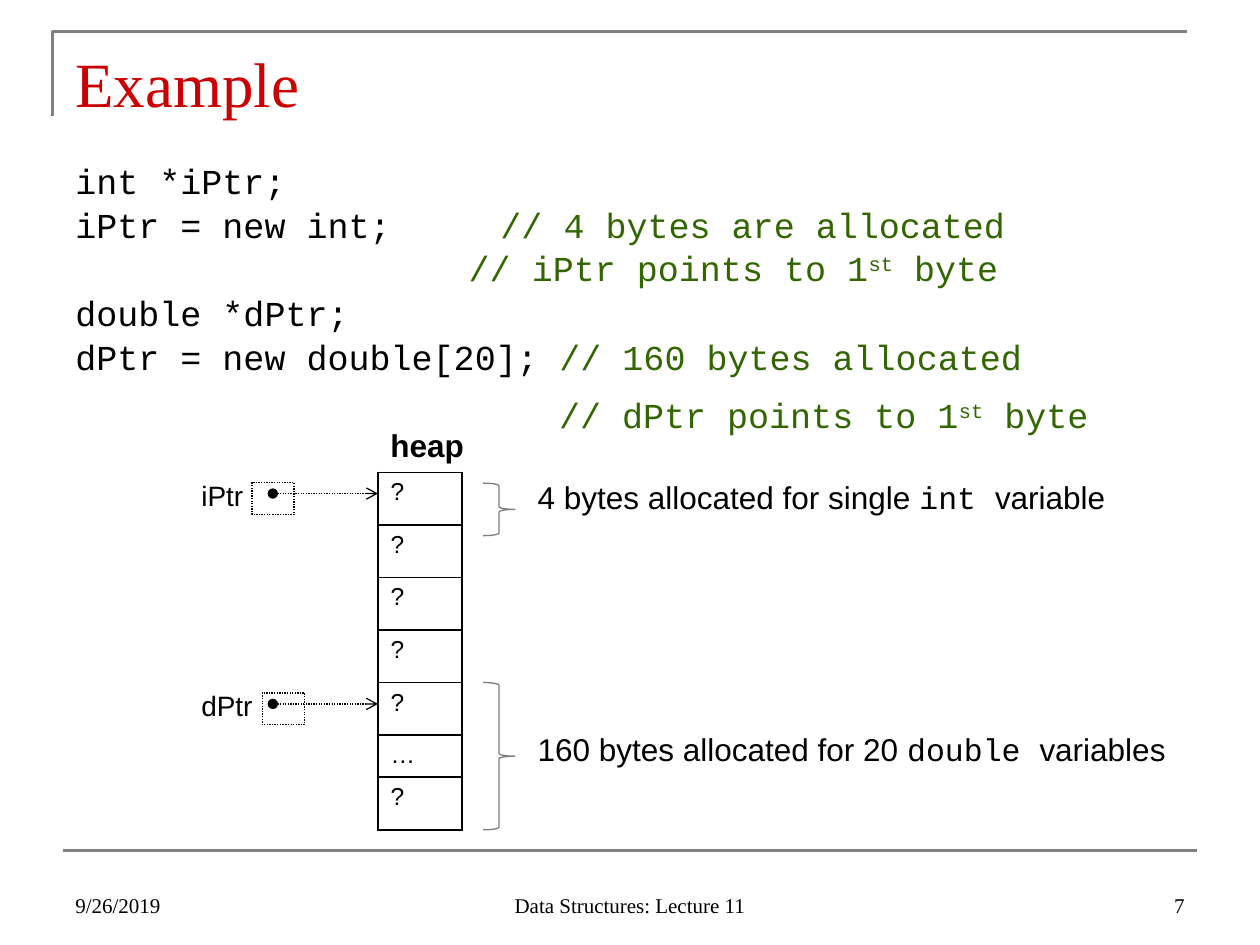
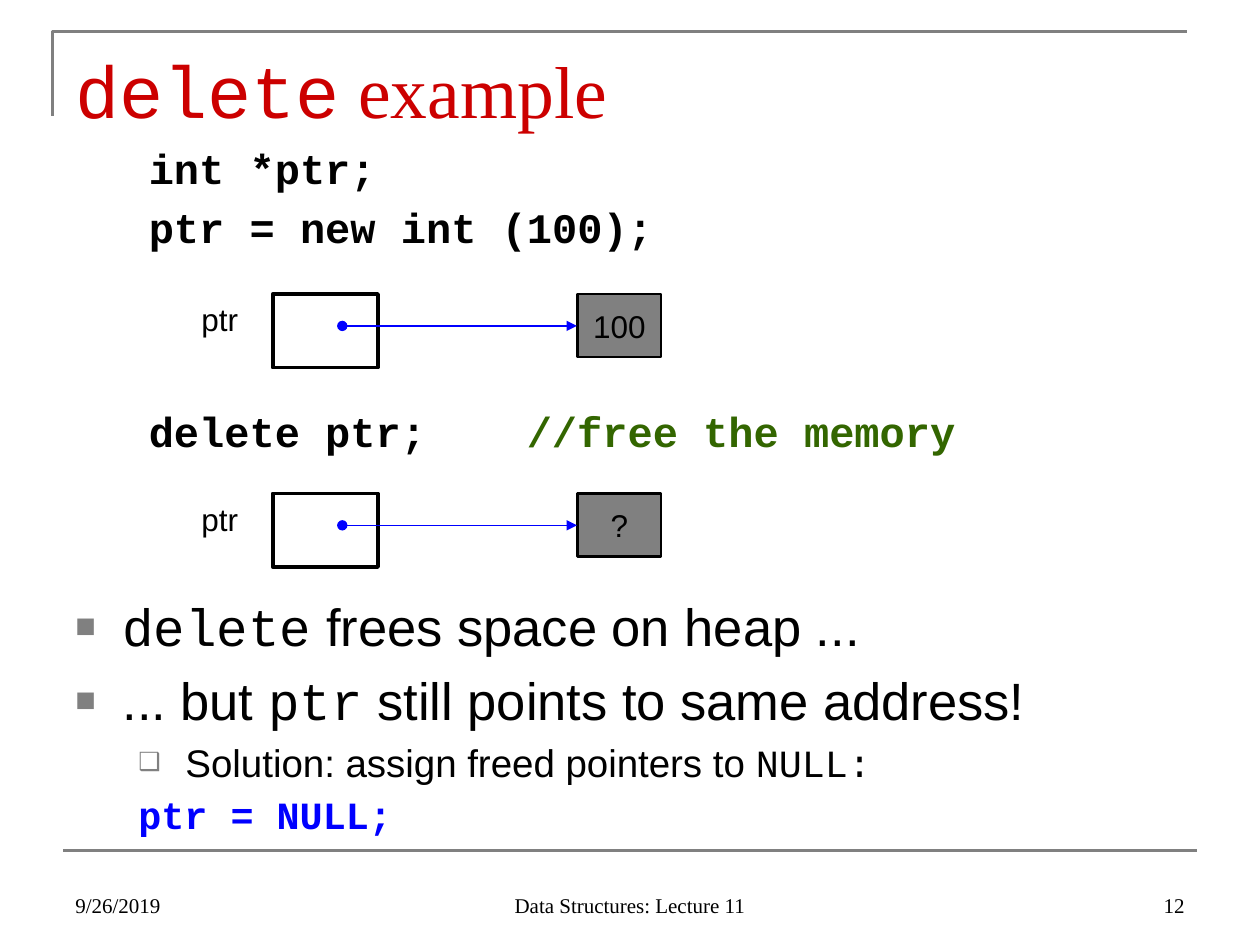
from dataclasses import dataclass, replace

from pptx import Presentation
from pptx.dml.color import RGBColor
from pptx.enum.dml import MSO_LINE
from pptx.enum.shapes import MSO_CONNECTOR, MSO_SHAPE
from pptx.enum.text import MSO_ANCHOR, PP_ALIGN
from pptx.oxml.ns import qn
from pptx.util import Cm, Pt
from lxml.etree import SubElement


@dataclass(frozen=True)
class Face:
    font: str
    size: float
    color: str = "000000"
    bold: bool = False
    sup: bool = False


@dataclass(frozen=True)
class Para:
    runs: tuple
    left: float = 0
    hang: float = 0
    before: float = 0
    pitch: float = 1
    mark: str = ""


@dataclass(frozen=True)
class Theme:
    black: str = "000000"
    gray: str = "808080"
    brace: str = "7D7D7D"
    blue: str = "0000FF"
    title: Face = Face("Times New Roman", 36, "CC0000")
    foot: Face = Face("Times New Roman", 12)
    code: Face = Face("Courier New", 20)
    note: Face = Face("Courier New", 20, "336600")
    bold: Face = Face("Courier New", 24, bold=True)
    label: Face = Face("Arial", 18)
    mono: Face = Face("Courier New", 18)
    name: Face = Face("Arial", 16)
    cell: Face = Face("Arial", 14)
    point: Face = Face("Arial", 30)
    sub: Face = Face("Arial", 22)


THEME = Theme()


def rgb(code):
    return RGBColor.from_string(code)


# Text
def style(run, face):
    font = run.font
    font.name, font.size, font.bold = face.font, Pt(face.size), face.bold
    font.color.rgb = rgb(face.color)
    if face.sup:
        run._r.get_or_add_rPr().set("baseline", "30000")


def layout(para, item):
    props = para._p.get_or_add_pPr()
    props.set("marL", str(Cm(item.left)))
    props.set("indent", str(Cm(-item.hang)))
    if item.mark:
        color = SubElement(props, qn("a:buClr"))
        SubElement(color, qn("a:srgbClr"), val=THEME.gray)
        SubElement(props, qn("a:buSzPct"), val="65000")
        SubElement(props, qn("a:buFont"), typeface=THEME.point.font)
        SubElement(props, qn("a:buChar"), char=item.mark)
    else:
        SubElement(props, qn("a:buNone"))
    para.space_before = Pt(item.before)
    para.line_spacing = item.pitch


def write(frame, items, align=PP_ALIGN.LEFT):
    for i, item in enumerate(items):
        para = frame.add_paragraph() if i else frame.paragraphs[0]
        layout(para, item)
        para.alignment = align
        for j, (words, face) in enumerate(item.runs):
            if j:
                run = para.add_run()
                run.text = words
            else:
                para.text = words
                run = para.runs[0]
            style(run, face)


def text(slide, box, *items, align=PP_ALIGN.LEFT, anchor=MSO_ANCHOR.TOP):
    frame = slide.shapes.add_textbox(*map(Cm, box)).text_frame
    frame.word_wrap = True
    frame.vertical_anchor = anchor
    write(frame, items, align)


def line(words, face):
    return Para(((words, face),))


# Shapes
def shape(slide, kind, box, color, width, fill=None, dash=None):
    item = slide.shapes.add_shape(kind, *map(Cm, box))
    item.shadow.inherit = False
    if fill:
        item.fill.solid()
        item.fill.fore_color.rgb = rgb(fill)
    else:
        item.fill.background()
    item.line.color.rgb = rgb(color)
    item.line.width = Pt(width)
    if dash:
        item.line.dash_style = dash
    return item


def rule(slide, start, end, color, width, dash=None, tip=None):
    item = slide.shapes.add_connector(
        MSO_CONNECTOR.STRAIGHT, *map(Cm, (*start, *end)))
    item.line.color.rgb = rgb(color)
    item.line.width = Pt(width)
    if dash:
        item.line.dash_style = dash
    if tip:
        edge = item.line._get_or_add_ln()
        SubElement(edge, qn("a:headEnd"), type="oval")
        SubElement(edge, qn("a:tailEnd"), type=tip)
    SubElement(item._element.spPr, qn("a:effectLst"))


def border(cell):
    props = cell._tc.get_or_add_tcPr()
    for i, side in enumerate(("lnL", "lnR", "lnT", "lnB")):
        edge = props.makeelement(qn("a:" + side), {"w": str(Pt(1))})
        fill = SubElement(edge, qn("a:solidFill"))
        SubElement(fill, qn("a:srgbClr"), val=THEME.black)
        props.insert(i, edge)


def stack(slide, left, top, width, values, rows):
    item = slide.shapes.add_table(
        len(values), 1, *map(Cm, (left, top, width, sum(rows))))
    table = item.table
    table.first_row = table.horz_banding = False
    table.columns[0].width = Cm(width)
    for i, (value, height) in enumerate(zip(values, rows)):
        table.rows[i].height = Cm(height)
        cell = table.cell(i, 0)
        cell.fill.background()
        border(cell)
        write(cell.text_frame, [line(value, THEME.cell)])


# Shared frame: corner line, base line, title and footers
def base(deck, number, title, top=0.68):
    slide = deck.slides.add_slide(deck.slide_layouts[6])
    pen = slide.shapes.build_freeform(Cm(1.06), Cm(2.33))
    pen.add_line_segments(
        [(Cm(1.06), Cm(0.64)), (Cm(23.92), Cm(0.64))], close=False)
    corner = pen.convert_to_shape()
    corner.shadow.inherit = False
    corner.fill.background()
    corner.line.color.rgb = rgb(THEME.gray)
    corner.line.width = Pt(1.5)
    rule(slide, (1.27, 17.14), (24.13, 17.14), THEME.gray, 1.5)
    text(slide, (1.27, top, 22.86, 1.98), Para(title),
         anchor=MSO_ANCHOR.MIDDLE)
    for words, left, width, align in (
            ("9/26/2019", 1.27, 5.93, PP_ALIGN.LEFT),
            ("Data Structures: Lecture 11", 8.68, 8.04, PP_ALIGN.CENTER),
            (str(number), 18.2, 5.93, PP_ALIGN.RIGHT)):
        text(slide, (left, 17.36, width, 1.27), line(words, THEME.foot),
             align=align, anchor=MSO_ANCHOR.BOTTOM)
    return slide


# Pointer into the heap
def dotted(slide, name, left, top):
    dash = MSO_LINE.ROUND_DOT
    text(slide, (3.81, top, 1.69, 0.94), line(name, THEME.name))
    shape(slide, MSO_SHAPE.RECTANGLE, (left, top + 0.21, 0.85, 0.64),
          THEME.black, 0.75, dash=dash)
    rule(slide, (5.5, top + 0.43), (7.62, top + 0.43),
         THEME.black, 0.75, dash, "arrow")


# Brace with its remark
def brace(slide, top, height, level, lead, kind, rest):
    shape(slide, MSO_SHAPE.RIGHT_BRACE, (9.74, top, 0.64, height),
          THEME.brace, 0.75)
    text(slide, (10.59, level, 13.6, 1.02),
         Para(((lead, THEME.label), (kind, THEME.mono),
               (rest, THEME.label))))


# Pointer box with the value it points to
def target(slide, top, value):
    text(slide, (3.81, top, 1.69, 1.3), line("ptr", THEME.label))
    shape(slide, MSO_SHAPE.RECTANGLE, (5.5, top, 2.12, 1.48),
          THEME.black, 2.25)
    item = shape(slide, MSO_SHAPE.RECTANGLE, (11.64, top, 1.69, 1.27),
                 THEME.black, 1.5, THEME.gray)
    frame = item.text_frame
    frame.word_wrap = False
    frame.vertical_anchor = MSO_ANCHOR.MIDDLE
    write(frame, [line(value, THEME.label)], PP_ALIGN.CENTER)
    rule(slide, (6.9, top + 0.64), (11.63, top + 0.64),
         THEME.blue, 0.75, tip="triangle")


def heap(deck):
    slide = base(deck, 7, (("Example", THEME.title),))
    code, note = THEME.code, THEME.note
    rise = replace(note, sup=True)

    def first(name):
        return ((f"// {name} points to 1", note), ("st", rise),
                (" byte", note))

    rows = (
        Para((("int *iPtr;", code),), pitch=0.9),
        Para((("iPtr = new int;\t\t", code),
              ("// 4 bytes are allocated", note)),
             0.95, 0.95, 3.5, 0.9),
        Para(first("iPtr"), left=7.93, before=3.5, pitch=0.9),
        Para((("double *dPtr;", code),), before=4, pitch=0.9),
        Para((("dPtr = new double[20]; ", code),
              ("// 160 bytes allocated", note)), before=3.5, pitch=0.9),
        Para(first("dPtr"), left=9.75, before=11.5, pitch=0.9))
    text(slide, (1.27, 3.18, 22.86, 6), *rows)

    # Heap cells
    top, step = 9.52, 1.06
    text(slide, (7.62, 8.47, 3.39, 1.02),
         line("heap", replace(THEME.label, bold=True)))
    stack(slide, 7.62, top, 1.69, "?????…?", [step] * 5 + [0.83, step])
    dotted(slide, "iPtr", 5.08, top)
    dotted(slide, "dPtr", 5.29, top + 4 * step)
    brace(slide, 9.74, step, top,
          "4 bytes allocated for single ", "int ", "variable")
    brace(slide, top + 4 * step, 2.97, 14.6,
          "160 bytes allocated for 20 ", "double ", "variables")


def free(deck):
    big = replace(THEME.title, size=42)
    slide = base(deck, 12, (("delete", replace(big, font="Courier New")),
                            (" example", big)), top=0.8)
    bold, point, sub = THEME.bold, THEME.point, THEME.sub
    mono = replace(point, font="Courier New")
    small = replace(sub, font="Courier New")

    # Code and memory
    text(slide, (2.75, 2.74, 21.59, 2.8), line("int *ptr;", bold),
         Para((("ptr = new int (100);", bold),), before=5))
    target(slide, 5.93, "100")
    text(slide, (2.75, 8.04, 17.99, 1.3),
         Para((("delete ptr;\t\t", bold),
               ("//free the memory",
                replace(bold, color=THEME.note.color)))))
    target(slide, 9.95, "?")

    # Points
    last = replace(small, color=THEME.blue, bold=True)
    text(slide, (1.27, 11.86, 22.86, 5.18),
         Para((("delete", mono), (" frees space on heap ...", point)),
              0.95, 0.95, mark="■"),
         Para((("... but ", point), ("ptr", mono),
               (" still points to same address!", point)),
              0.95, 0.95, 6, mark="■"),
         Para((("Solution: assign freed pointers to ", sub),
               ("NULL:", small)), 2.22, 0.95, 4.4, mark="❑"),
         Para((("ptr = NULL;", last),), 1.27, before=3.6))


def main():
    deck = Presentation()
    deck.slide_width, deck.slide_height = Cm(25.4), Cm(19.05)
    heap(deck)
    free(deck)
    deck.save("out.pptx")


if __name__ == "__main__":
    main()
